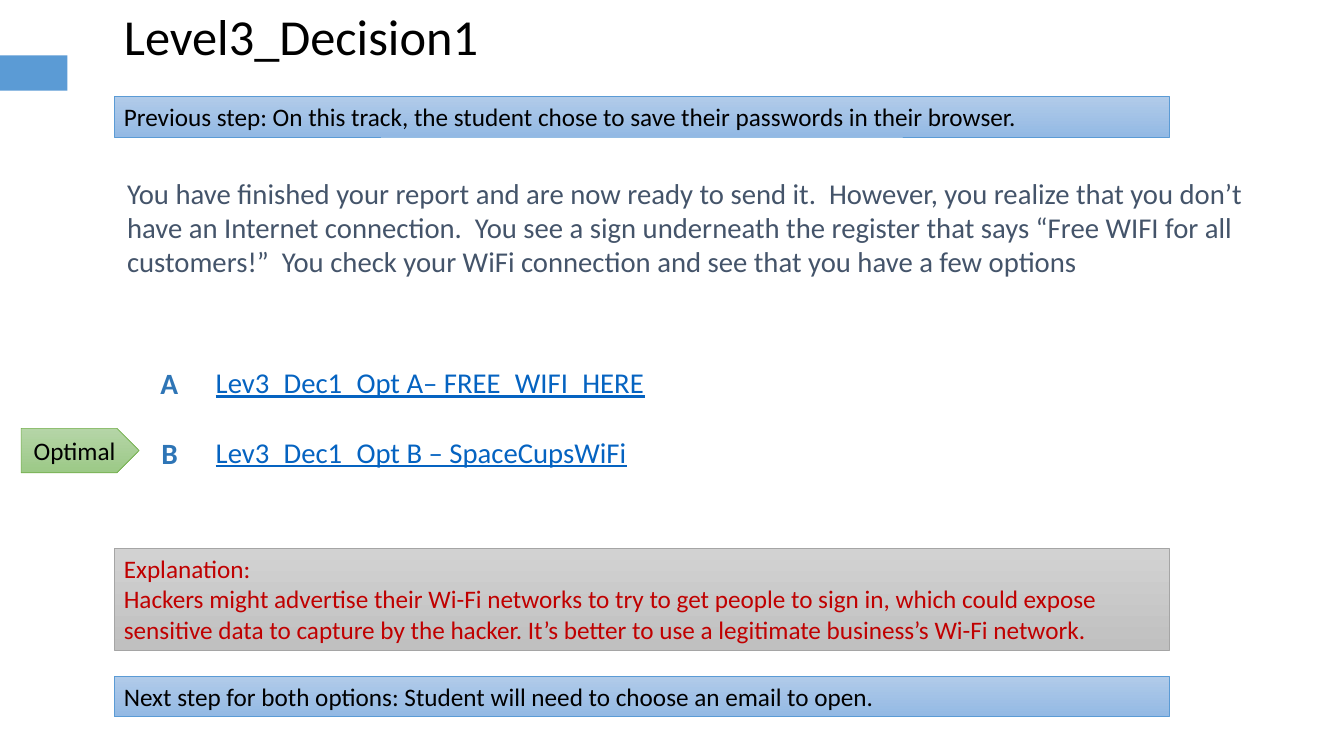
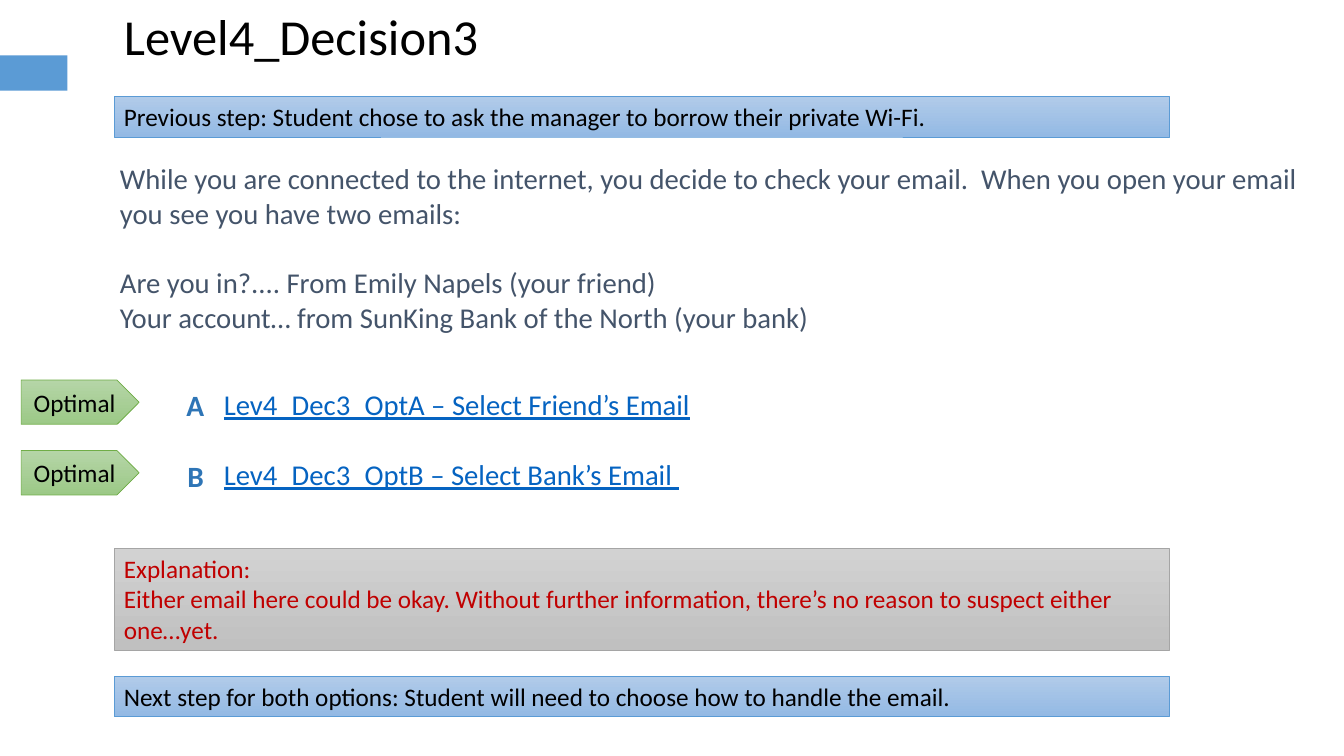
from pptx import Presentation
from pptx.dml.color import RGBColor
from pptx.enum.shapes import MSO_SHAPE
from pptx.enum.text import MSO_ANCHOR, PP_ALIGN
from pptx.util import Emu, Pt

RECTANGLE = MSO_SHAPE.RECTANGLE
ARROW_TAG = MSO_SHAPE.PENTAGON
TOP = MSO_ANCHOR.TOP
MIDDLE = MSO_ANCHOR.MIDDLE
LEFT = PP_ALIGN.LEFT
CENTER = PP_ALIGN.CENTER

EMU_PER_PX = 9144
CONTENT_LEFT = 113
BAR_WIDTH = 1047
OPTION_PITCH = 70
BLANK_LINE = Pt(25)


def px(length):
    return Emu(length * EMU_PER_PX)


def color(value):
    return RGBColor.from_string(value)


class DecisionDeck:
    FONT = "Calibri"
    ACCENT = "5B9BD5"
    BLUE = ("B1CBE9", "93B9E4", ACCENT)
    GREEN = ("B5D5A7", "9CC987", "70AD47")
    GRAY = ("D2D2D2", "C0C0C0", "A5A5A5")
    TITLE = {"color": "000000", "size": Pt(36)}
    NOTE = {"color": "000000", "size": Pt(18)}
    WARNING = {"color": "C00000", "size": Pt(18)}
    STORY = {"color": "44546A", "size": Pt(20.5)}
    LINK = {"color": "0563C1", "size": Pt(20.5), "underline": True}
    LETTER = {"color": "2E75B6", "size": Pt(21), "bold": True}
    NARROW_INSETS = (10, 5)
    WIDE_INSETS = (13, 7)

    def __init__(self):
        self.presentation = Presentation()
        self.presentation.slide_width = px(1333)
        self.presentation.slide_height = px(750)
        self.slide = None

    def start_slide(self, title):
        layout = self.presentation.slide_layouts[6]
        self.slide = self.presentation.slides.add_slide(layout)
        marker = self.shape(RECTANGLE, (0, 55, 67, 35))
        marker.fill.solid()
        marker.fill.fore_color.rgb = color(self.ACCENT)
        marker.line.fill.background()
        self.text_box((CONTENT_LEFT, 0, 512, 101), [title], self.TITLE, self.NARROW_INSETS)

    def shape(self, kind, box):
        shape = self.slide.shapes.add_shape(kind, *map(px, box))
        shape.shadow.inherit = False
        return shape

    def fill_text(self, shape, texts, style, insets, anchor=TOP, alignment=LEFT, gaps=()):
        frame = shape.text_frame
        horizontal, vertical = map(px, insets)
        frame_format = {
            "word_wrap": True,
            "vertical_anchor": anchor,
            "margin_left": horizontal,
            "margin_right": horizontal,
            "margin_top": vertical,
            "margin_bottom": vertical,
        }
        for name, value in frame_format.items():
            setattr(frame, name, value)
        for index, text in enumerate(texts):
            paragraph = frame.add_paragraph() if index else frame.paragraphs[0]
            paragraph.alignment = alignment
            if index in gaps:
                paragraph.space_before = BLANK_LINE
            run = paragraph.add_run()
            run.text = text
            run.font.name = self.FONT
            for name, value in style.items():
                if name == "color":
                    run.font.color.rgb = color(value)
                else:
                    setattr(run.font, name, value)

    def text_box(self, box, texts, style, insets=WIDE_INSETS, gaps=()):
        text_box = self.slide.shapes.add_textbox(*map(px, box))
        self.fill_text(text_box, texts, style, insets, gaps=gaps)

    def panel(self, kind, box, palette, texts, style, anchor=TOP, alignment=LEFT):
        start, end, outline = palette
        panel = self.shape(kind, box)
        panel.fill.gradient()
        panel.fill.gradient_angle = 270
        for stop, value in zip(panel.fill.gradient_stops, (start, end)):
            stop.color.rgb = color(value)
        panel.line.color.rgb = color(outline)
        panel.line.width = Pt(0.5)
        self.fill_text(panel, texts, style, self.NARROW_INSETS, anchor, alignment)

    def step_bar(self, top, text):
        self.panel(RECTANGLE, (CONTENT_LEFT, top, BAR_WIDTH, 40), self.BLUE, [text], self.NOTE)

    def explanation(self, text):
        box = (CONTENT_LEFT, 544, BAR_WIDTH, 101)
        self.panel(RECTANGLE, box, self.GRAY, ["Explanation:", text], self.WARNING)

    def options(self, top, letter_left, link_left, links, optimal):
        self.text_box((link_left, top, 713, 140), links, self.LINK, gaps=(1,))
        for index, letter in enumerate("AB"):
            row_top = top + index * OPTION_PITCH
            self.text_box((letter_left + index, row_top, 70, 44), [letter], self.LETTER)
            if letter in optimal:
                self.panel(ARROW_TAG, (21, row_top, 117, 44), self.GREEN,
                           ["Optimal"], self.NOTE, MIDDLE, CENTER)

    def decision(self, title, previous, story_box, story, story_gaps, options, explanation, following):
        self.start_slide(title)
        self.step_bar(96, f"Previous step: {previous}")
        self.text_box(story_box, story, self.STORY, gaps=story_gaps)
        self.options(**options)
        self.explanation(explanation)
        self.step_bar(671, f"Next step for both options: {following}")


DECISIONS = [
    {
        "title": "Level3_Decision1",
        "previous": "On this track, the student chose to save their passwords in their browser.",
        "story_box": (113, 167, 1165, 142),
        "story": [
            "You have finished your report and are now ready to send it.  However, you realize "
            "that you don’t have an Internet connection.  You see a sign underneath the register "
            "that says “Free WIFI for all customers!”  You check your WiFi connection and see "
            "that you have a few options",
        ],
        "story_gaps": (),
        "options": {
            "top": 355,
            "letter_left": 146,
            "link_left": 201,
            "links": ["Lev3_Dec1_Opt A– FREE_WIFI_HERE", "Lev3_Dec1_Opt B – SpaceCupsWiFi"],
            "optimal": "B",
        },
        "explanation": "Hackers might advertise their Wi-Fi networks to try to get people to "
                       "sign in, which could expose sensitive data to capture by the hacker. "
                       "It’s better to use a legitimate business’s Wi-Fi network.",
        "following": "Student will need to choose an email to open.",
    },
    {
        "title": "Level4_Decision3",
        "previous": "Student chose to ask the manager to borrow their private Wi-Fi.",
        "story_box": (106, 153, 1206, 245),
        "story": [
            "While you are connected to the internet, you decide to check your email.  "
            "When you open your email you see you have two emails:",
            "Are you in?.... From Emily Napels (your friend)",
            "Your account… from SunKing Bank of the North (your bank)",
        ],
        "story_gaps": (1,),
        "options": {
            "top": 377,
            "letter_left": 172,
            "link_left": 209,
            "links": [
                "Lev4_Dec3_OptA – Select Friend’s Email",
                "Lev4_Dec3_OptB – Select Bank’s Email ",
            ],
            "optimal": "AB",
        },
        "explanation": "Either email here could be okay. Without further information, there’s "
                       "no reason to suspect either one…yet.",
        "following": "Student will need to choose how to handle the email.",
    },
]


def main():
    deck = DecisionDeck()
    for decision in DECISIONS:
        deck.decision(**decision)
    deck.presentation.save("out.pptx")


if __name__ == "__main__":
    main()
